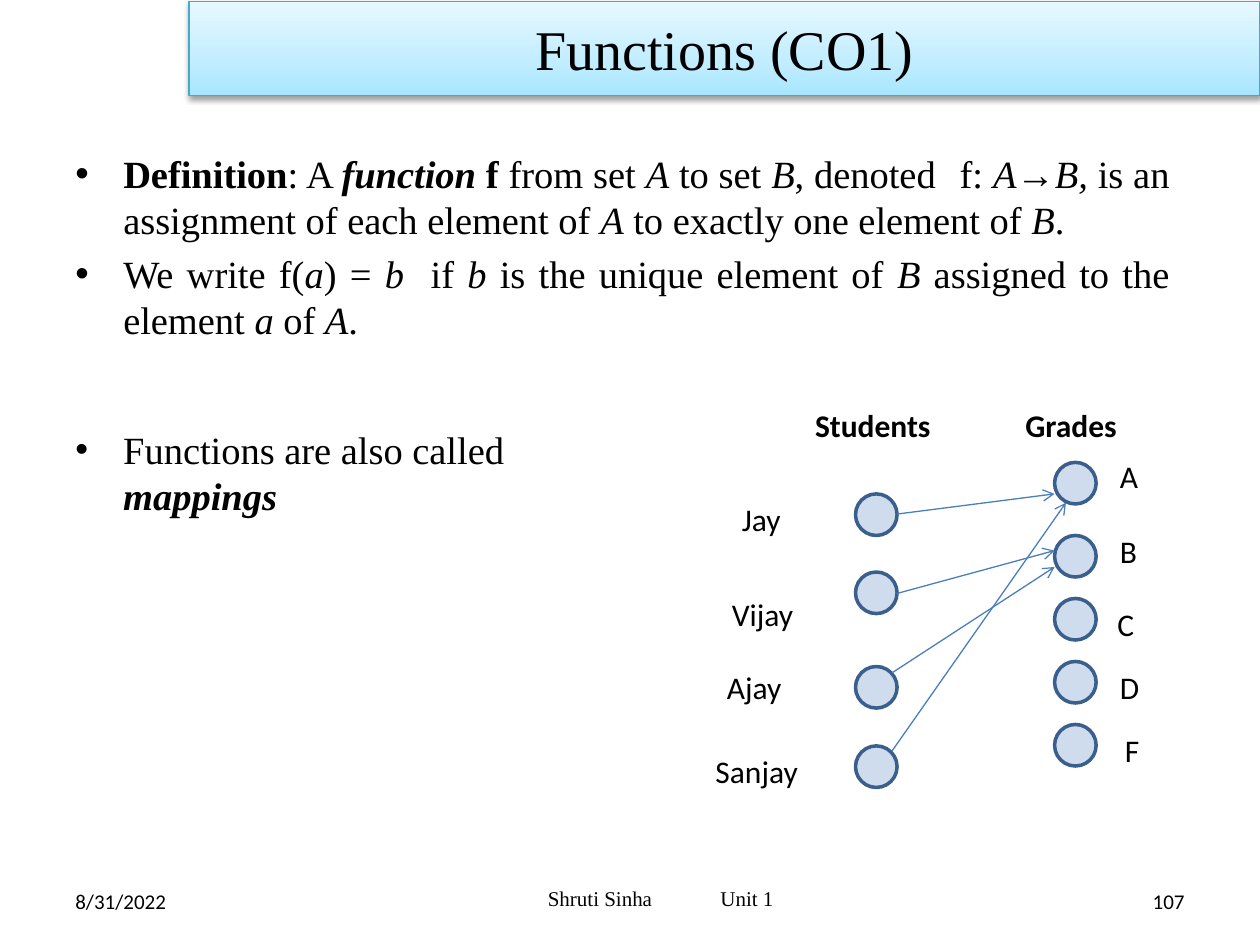
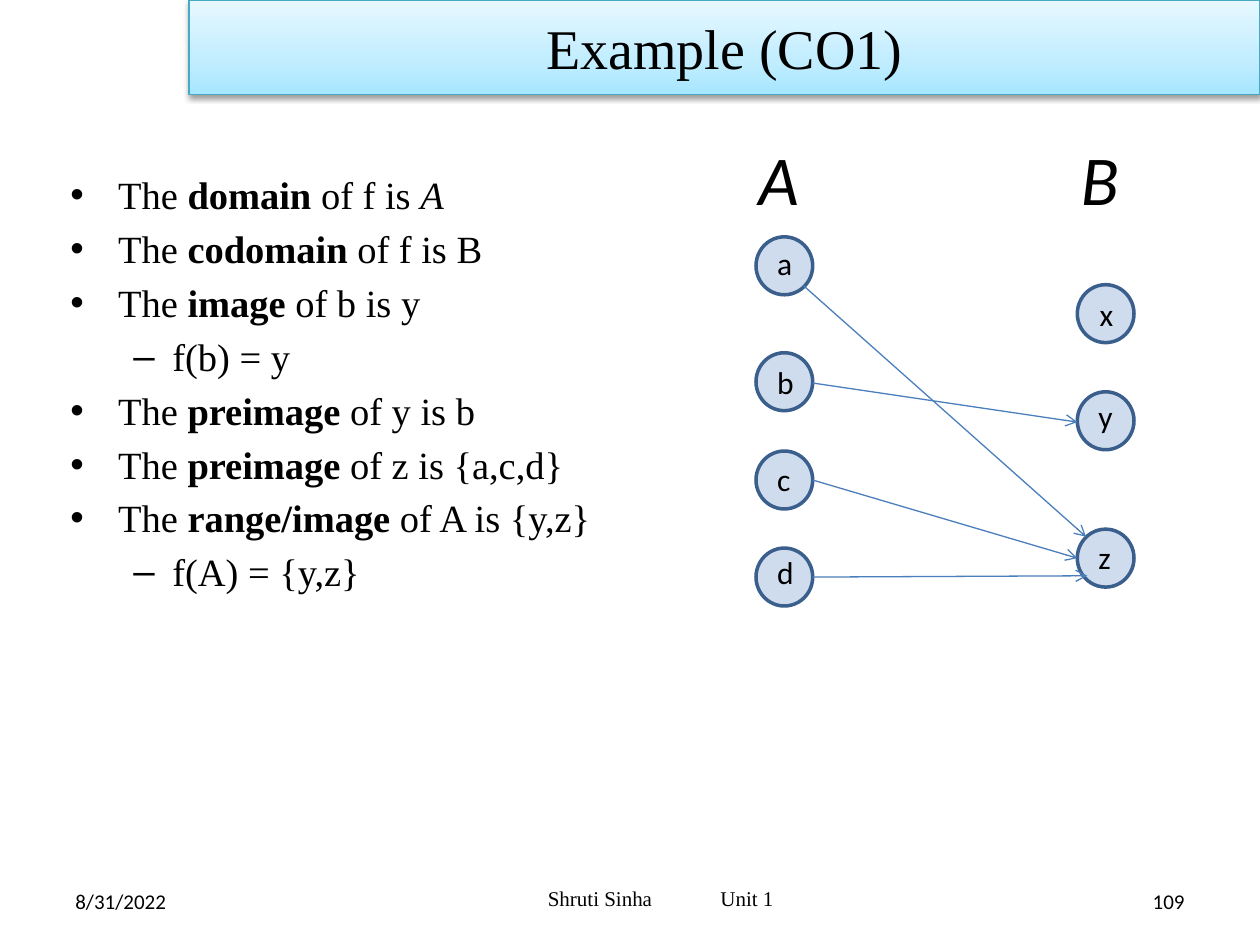
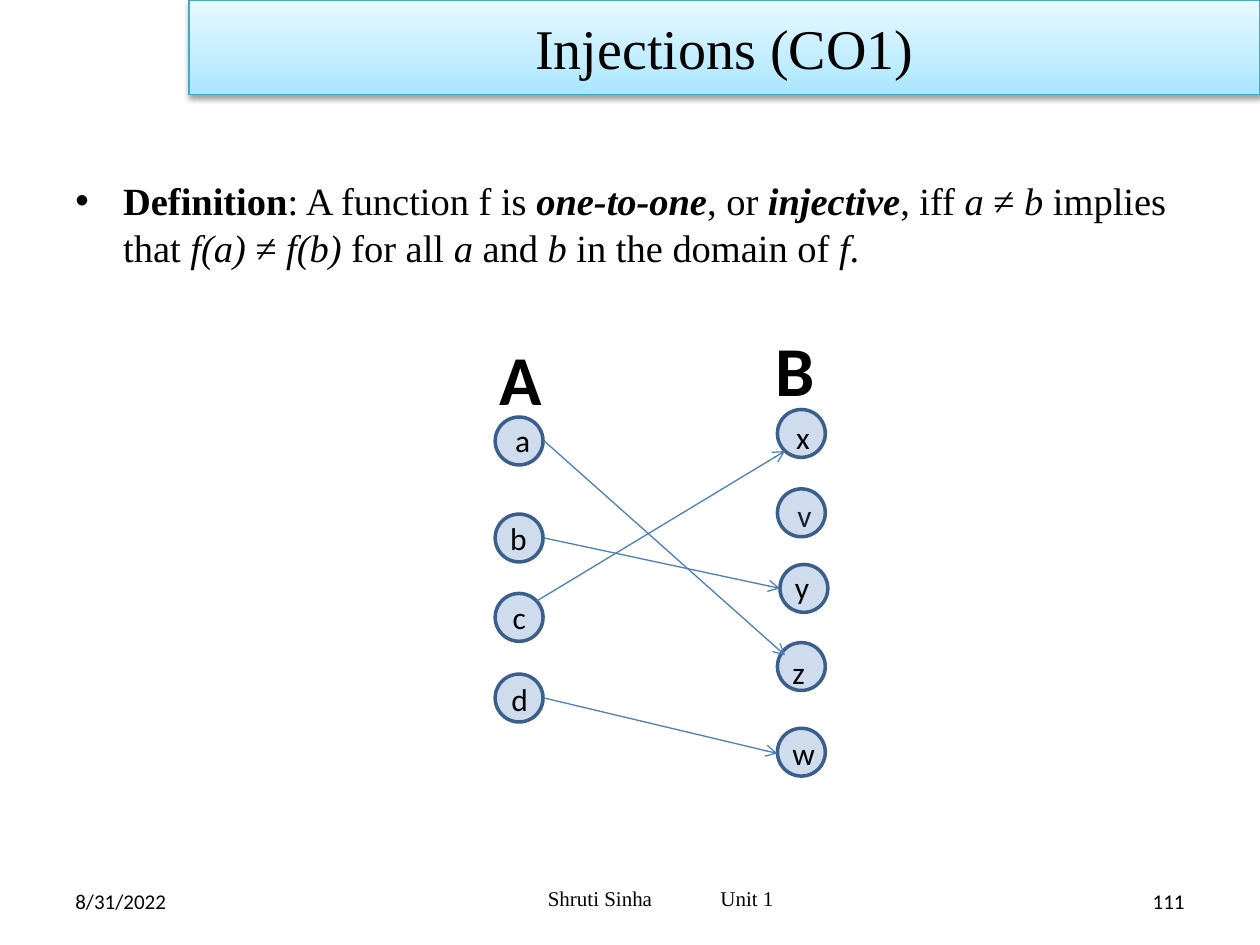
from lxml import etree
from pptx import Presentation
from pptx.dml.color import RGBColor
from pptx.enum.shapes import MSO_CONNECTOR as Connector, MSO_SHAPE as Shape
from pptx.enum.text import MSO_ANCHOR as Anchor, MSO_AUTO_SIZE as AutoSize, PP_ALIGN as Align
from pptx.oxml import parse_xml
from pptx.oxml.ns import nsdecls, qn
from pptx.util import Emu, Pt

PX = 9144  # 100 px to the inch
SERIF, SANS = "Times New Roman", "Calibri"
COLORS = {
    "text": "000000",
    "band_bottom": "A7E6FF",
    "band_middle": "C1EDFF",
    "band_top": "E7F8FF",
    "band_line": "46AAC5",
    "node": "4F81BD",
    "node_line": "3A5F8C",
    "arrow": "4B7EBC",
}
BULLETS = {0: ("•", 38, 38), 1: ("–", 81, 31)}  # mark, left margin, hanging


def px(length):
    return Emu(length * PX)


def color(name):
    return RGBColor.from_string(COLORS[name])


def style_font(font, face, size, bold=None, italic=None):
    font.name, font.size = face, Pt(size)
    font.bold, font.italic = bold, italic
    font.color.rgb = color("text")


def text_frame(slide, left, top, width, height, anchor=Anchor.TOP):
    frame = slide.shapes.add_textbox(*map(px, (left, top, width, height))).text_frame
    frame.word_wrap = True
    frame.vertical_anchor = anchor
    return frame


def add_label(slide, text, left, top, width, height=40, face=SANS, size=18,
              bold=None, italic=None, align=Align.LEFT, anchor=Anchor.TOP):
    line = text_frame(slide, left, top, width, height, anchor).paragraphs[0]
    line.text, line.alignment = text, align
    style_font(line.font, face, size, bold, italic)


def add_band(slide, text, top):
    title = slide.shapes.title
    title.left, title.top, title.width, title.height = map(px, (150, top, 850, 75))
    stops = "".join(
        f'<a:gs pos="{pos}"><a:srgbClr val="{COLORS[name]}"/></a:gs>'
        for pos, name in ((0, "band_bottom"), (35000, "band_middle"), (100000, "band_top")))
    props = title._element.spPr
    props.append(parse_xml(
        f'<a:gradFill {nsdecls("a")} rotWithShape="1"><a:gsLst>{stops}</a:gsLst>'
        '<a:lin ang="16200000" scaled="0"/></a:gradFill>'))
    title.line.color.rgb = color("band_line")
    title.line.width = Pt(0.75)
    props.append(parse_xml(
        f'<a:effectLst {nsdecls("a")}><a:outerShdw blurRad="40000" dist="20000" '
        'dir="5400000" rotWithShape="0"><a:srgbClr val="000000"><a:alpha val="38000"/>'
        '</a:srgbClr></a:outerShdw></a:effectLst>'))
    frame = title.text_frame
    frame.auto_size = AutoSize.NONE
    frame.vertical_anchor = Anchor.MIDDLE
    heading = frame.paragraphs[0]
    heading.text, heading.alignment = text, Align.CENTER
    style_font(heading.font, SERIF, 32)


def add_footer(slide, number):
    add_label(slide, "8/31/2022", 50, 695, 233, size=12, anchor=Anchor.MIDDLE)
    add_label(slide, str(number), 717, 695, 233, size=12, align=Align.RIGHT,
              anchor=Anchor.MIDDLE)
    for text, left in (("Shruti Sinha", 425), ("Unit 1", 562)):
        add_label(slide, text, left, 693, 120, face=SERIF, size=12, anchor=Anchor.MIDDLE)


def start_slide(deck, title, number, band_top=0):
    slide = deck.slides.add_slide(deck.slide_layouts[5])
    add_band(slide, title, band_top)
    add_footer(slide, number)
    return slide


def add_bullets(slide, box, items, align=Align.LEFT, mark_size=100, tab=None):
    """Each item is (level, runs); a run is plain text or (text, "b", "i" or "bi")."""
    frame = text_frame(slide, *box)
    for index, (level, runs) in enumerate(items):
        item = frame.add_paragraph() if index else frame.paragraphs[0]
        mark, margin, hanging = BULLETS[level]
        props = item._p.get_or_add_pPr()
        props.set("marL", str(px(margin)))
        props.set("indent", str(-px(hanging)))
        etree.SubElement(props, qn("a:buSzPct"), val=str(mark_size * 1000))
        etree.SubElement(props, qn("a:buFont"), typeface="Arial")
        etree.SubElement(props, qn("a:buChar"), char=mark)
        if tab:
            stops = etree.SubElement(props, qn("a:tabLst"))
            etree.SubElement(stops, qn("a:tab"), pos=str(px(tab)), algn="l")
        item.level, item.alignment = level, align
        if index:
            item.space_before = Pt(4.4)
        style_font(item.font, SERIF, 22)
        for part in runs:
            text, style = (part, "") if isinstance(part, str) else part
            run = item.add_run()
            run.text = text
            if "b" in style:
                run.font.bold = True
            if "i" in style:
                run.font.italic = True


def add_nodes(slide, left, tops, width, height):
    for top in tops:
        node = slide.shapes.add_shape(
            Shape.FLOWCHART_CONNECTOR, *map(px, (left, top, width, height)))
        node.shadow.inherit = False
        node.fill.solid()
        node.fill.fore_color.rgb = color("node")
        tint = node._element.spPr.find(f"{qn('a:solidFill')}/{qn('a:srgbClr')}")
        etree.SubElement(tint, qn("a:alpha"), val="27000")
        node.line.color.rgb = color("node_line")
        node.line.width = Pt(2)


def add_arrows(slide, routes):
    for route in routes:
        arrow = slide.shapes.add_connector(Connector.STRAIGHT, *map(px, route))
        arrow.line.color.rgb = color("arrow")
        arrow.line.width = Pt(0.75)
        etree.SubElement(arrow.line._get_or_add_ln(), qn("a:tailEnd"), type="arrow")
        etree.SubElement(arrow._element.spPr, qn("a:effectLst"))


def functions_slide(deck):
    slide = start_slide(deck, "Functions (CO1)", 107, band_top=1)
    add_bullets(slide, (50, 114, 888, 200), [
        (0, [("Definition", "b"), ": A ", ("function ", "bi"), ("f ", "b"), "from set ",
             ("A", "i"), " to set ", ("B", "i"), ", denoted\tf: ", ("A", "i"), "→",
             ("B, ", "i"), "is an assignment of each element of ", ("A", "i"),
             " to exactly one element of ", ("B", "i"), "."]),
        (0, ["We write f(", ("a", "i"), ") = ", ("b  ", "i"), "if ", ("b", "i"),
             " is the unique element of ", ("B", "i"), " assigned to the element ",
             ("a", "i"), " of ", ("A", "i"), "."]),
    ], align=Align.JUSTIFY, tab=700)
    add_label(slide, "Students", 637, 317, 175, bold=True)
    add_label(slide, "Grades", 804, 317, 117, bold=True)
    for student, left, top in (("Jay", 579, 392), ("Vijay", 571, 467),
                               ("Ajay", 567, 525), ("Sanjay", 558, 592)):
        add_label(slide, student, left, top, 92)
    for grade, left, top in (("A", 879, 358), ("B", 879, 417), ("C", 877, 475),
                             ("D", 879, 525), ("F", 883, 575)):
        add_label(slide, grade, left, top, 25)
    add_nodes(slide, 679, (392, 454, 529, 592), 33, 33)
    add_nodes(slide, 837, (367, 425, 475, 525, 575), 33, 33)
    add_arrows(slide, [(712, 408, 837, 392), (708, 534, 837, 450),
                       (712, 471, 837, 437), (708, 596, 846, 399)])
    add_bullets(slide, (50, 333, 383, 84),
                [(0, ["Functions are also called ", ("mappings", "bi")])], mark_size=95)


def example_slide(deck):
    slide = start_slide(deck, "Example (CO1)", 109)
    add_nodes(slide, 600, (188, 280, 358, 435), 45, 46)
    add_nodes(slide, 855, (226, 311, 420), 45, 46)
    for name, left in (("A", 592), ("B", 848)):
        add_label(slide, name, left, 103, 68, 84, size=40, italic=True)
    for element, left, top in (("a", 607, 189), ("b", 607, 283), ("c", 607, 360),
                               ("d", 607, 434), ("x", 863, 229), ("y", 862, 310),
                               ("z", 862, 422)):
        add_label(slide, element, left, top, 30, 37)
    add_arrows(slide, [(645, 304, 855, 335), (638, 227, 862, 426),
                       (645, 381, 855, 443), (645, 458, 863, 457)])
    add_bullets(slide, (46, 131, 559, 508), [
        (0, ["The ", ("domain", "b"), " of f is ", ("A", "i")]),
        (0, ["The ", ("codomain", "b"), " of f is B"]),
        (0, ["The ", ("image", "b"), " of b is y"]),
        (1, ["f(b) = y"]),
        (0, ["The ", ("preimage", "b"), " of y is b"]),
        (0, ["The ", ("preimage ", "b"), "of z is {a,c,d}"]),
        (0, ["The ", ("range/image", "b"), " of A is {y,z}"]),
        (1, ["f(A) = {y,z}"]),
    ])


def injections_slide(deck):
    slide = start_slide(deck, "Injections (CO1)", 111)
    add_bullets(slide, (50, 136, 900, 110), [
        (0, [("Definition", "b"), ": A function f is ", ("one-to-one", "bi"), ", or ",
             ("injective", "bi"), ", iff ", ("a ", "i"), "≠ ", ("b ", "i"),
             "implies that ", ("f(a) ", "i"), "≠ ", ("f(b)", "i"), " for all ",
             ("a", "i"), " and ", ("b", "i"), " in the domain of ", ("f", "i"), "."]),
    ])
    add_label(slide, "v", 623, 389, 26, 31)  # lies under its tinted node
    add_nodes(slide, 393, (331, 408, 471, 535), 38, 38)
    add_nodes(slide, 617, (325, 388, 510, 578), 38, 38)
    add_nodes(slide, 619, (448,), 38, 38)
    for name, left, top in (("A", 387, 261), ("B", 606, 254)):
        add_label(slide, name, left, top, 57, 59, size=40, bold=True)
    for element, left, top in (("a", 399, 329), ("b", 395, 407), ("c", 397, 470),
                               ("d", 396, 535), ("x", 622, 327), ("y", 621, 446),
                               ("z", 619, 513), ("w", 619, 578)):
        add_label(slide, element, left, top, 26, 31)
    add_arrows(slide, [(432, 427, 619, 467), (432, 350, 623, 520),
                       (426, 477, 623, 358), (432, 554, 617, 598)])


def main():
    deck = Presentation()
    deck.slide_width, deck.slide_height = px(1000), px(750)
    functions_slide(deck)
    example_slide(deck)
    injections_slide(deck)
    deck.save("out.pptx")


if __name__ == "__main__":
    main()
